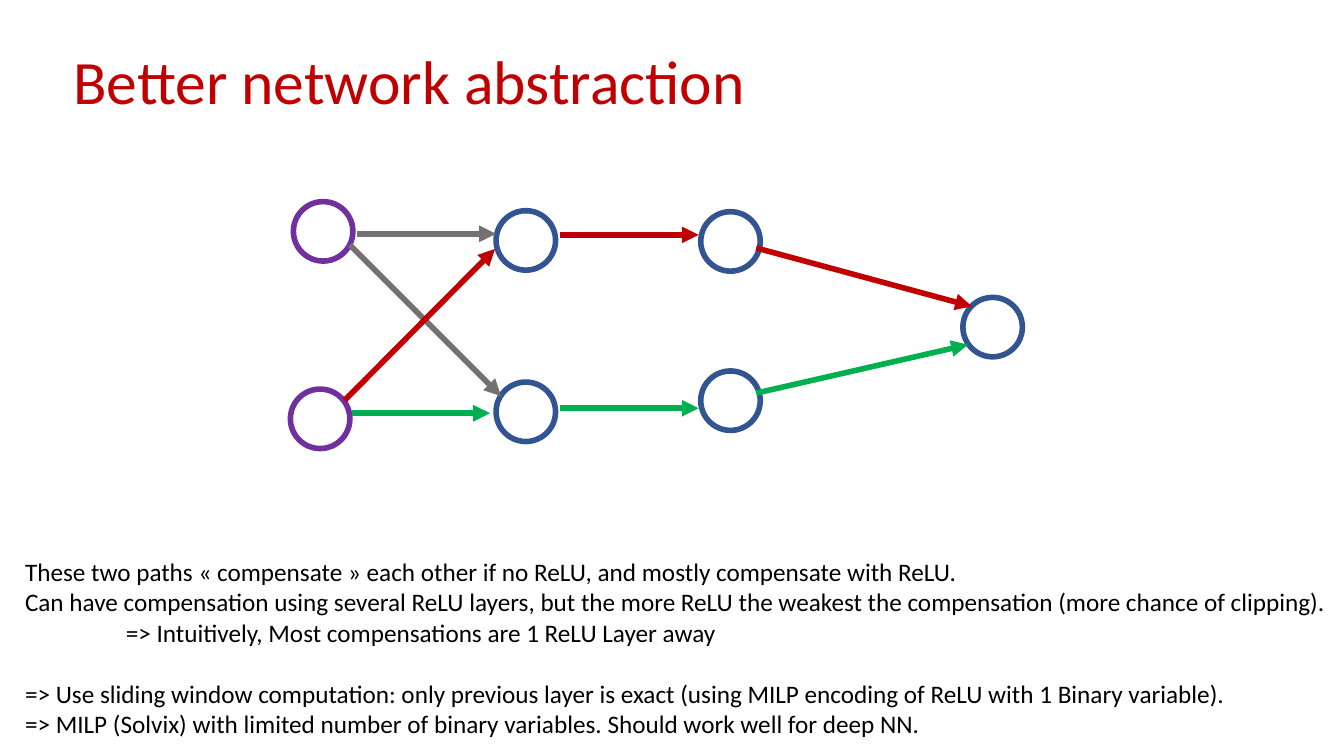
import pptx
import pptx.dml.color
import pptx.enum.shapes
import pptx.enum.text
import pptx.util
from lxml import etree
from pptx.oxml.ns import qn

Inches = pptx.util.Inches
Pt = pptx.util.Pt

COLORS = {
    "red": "C00000",
    "green": "00B050",
    "gray": "767171",
    "blue": "325491",
    "purple": "7030A0",
    "black": "000000",
}

NODES = [
    (2.91, 2.0, "purple"), (2.88, 3.86, "purple"),
    (4.92, 2.09, "blue"), (4.92, 3.79, "blue"),
    (6.95, 2.1, "blue"), (6.95, 3.68, "blue"),
    (9.55, 2.95, "blue"),
]

EDGES = [
    ((3.54, 2.32), (4.92, 2.32), "gray"),
    ((3.47, 2.43), (4.97, 3.93), "gray"),
    ((3.42, 3.97), (4.91, 2.47), "red"),
    ((5.55, 2.33), (6.93, 2.33), "red"),
    ((7.5, 2.46), (9.64, 3.04), "red"),
    ((3.49, 4.1), (4.86, 4.1), "green"),
    ((5.55, 4.05), (6.93, 4.05), "green"),
    ((7.5, 3.9), (9.6, 3.42), "green"),
]

# Each note: text, left indent in inches, space before in points
NOTES = [
    ("These two paths « compensate » each other if no ReLU, "
     "and mostly compensate with ReLU.", 0, 0),
    ("Can have compensation using several ReLU layers, but the more ReLU "
     "the weakest the compensation (more chance of clipping).", 0, 0),
    ("=> Intuitively, Most compensations are 1 ReLU Layer away", 1, 0),
    ("=> Use sliding window computation: only previous layer is exact "
     "(using MILP encoding of ReLU with 1 Binary variable).", 0, 22),
    ("=> MILP (Solvix) with limited number of binary variables. "
     "Should work well for deep NN.", 0, 0),
]


def write(para, text, size=18, color="black", indent=0, before=0):
    """Fill one paragraph with formatted text."""
    if indent:
        para._p.get_or_add_pPr().set("marL", str(Inches(indent)))
    if before:
        para.space_before = Pt(before)
    run = para.add_run()
    run.text = text
    run.font.name = "Calibri"
    run.font.size = Pt(size)
    run.font.color.rgb = pptx.dml.color.RGBColor.from_string(COLORS[color])


class Sketch:
    """Draws on one slide with a shared line style."""
    node_size = 0.59
    weight = 4

    def __init__(self, slide):
        self.shapes = slide.shapes

    def stroke(self, line, color):
        line.color.rgb = pptx.dml.color.RGBColor.from_string(COLORS[color])
        line.width = Pt(self.weight)

    def node(self, left, top, color):
        size = Inches(self.node_size)
        oval = self.shapes.add_shape(
            pptx.enum.shapes.MSO_SHAPE.OVAL, Inches(left), Inches(top), size, size)
        oval.shadow.inherit = False
        oval.fill.background()
        self.stroke(oval.line, color)

    def arrow(self, start, end, color):
        edge = self.shapes.add_connector(
            pptx.enum.shapes.MSO_CONNECTOR.STRAIGHT,
            *(Inches(value) for value in start + end))
        self.stroke(edge.line, color)
        etree.SubElement(edge.line._get_or_add_ln(), qn("a:tailEnd"), type="triangle")
        etree.SubElement(edge._element.spPr, qn("a:effectLst"))

    def text(self, left, top, width, height, lines, wrap=True):
        """Add a text box; each line is a text and its format."""
        box = self.shapes.add_textbox(
            Inches(left), Inches(top), Inches(width), Inches(height))
        frame = box.text_frame
        frame.word_wrap = wrap
        frame.auto_size = pptx.enum.text.MSO_AUTO_SIZE.SHAPE_TO_FIT_TEXT
        for index, (text, style) in enumerate(lines):
            para = frame.add_paragraph() if index else frame.paragraphs[0]
            write(para, text, **style)


def main():
    deck = pptx.Presentation()
    deck.slide_width = Inches(13.33)
    deck.slide_height = Inches(7.5)
    sketch = Sketch(deck.slides.add_slide(deck.slide_layouts[6]))

    sketch.text(0.63, 0.38, 11.26, 0.84,
                [("Better network abstraction", dict(size=44, color="red"))])
    for node in NODES:
        sketch.node(*node)
    for edge in EDGES:
        sketch.arrow(*edge)
    sketch.text(0.15, 5.47, 13.26, 1.92,
                [(text, dict(indent=indent, before=before))
                 for text, indent, before in NOTES], wrap=False)
    deck.save("out.pptx")


if __name__ == "__main__":
    main()
